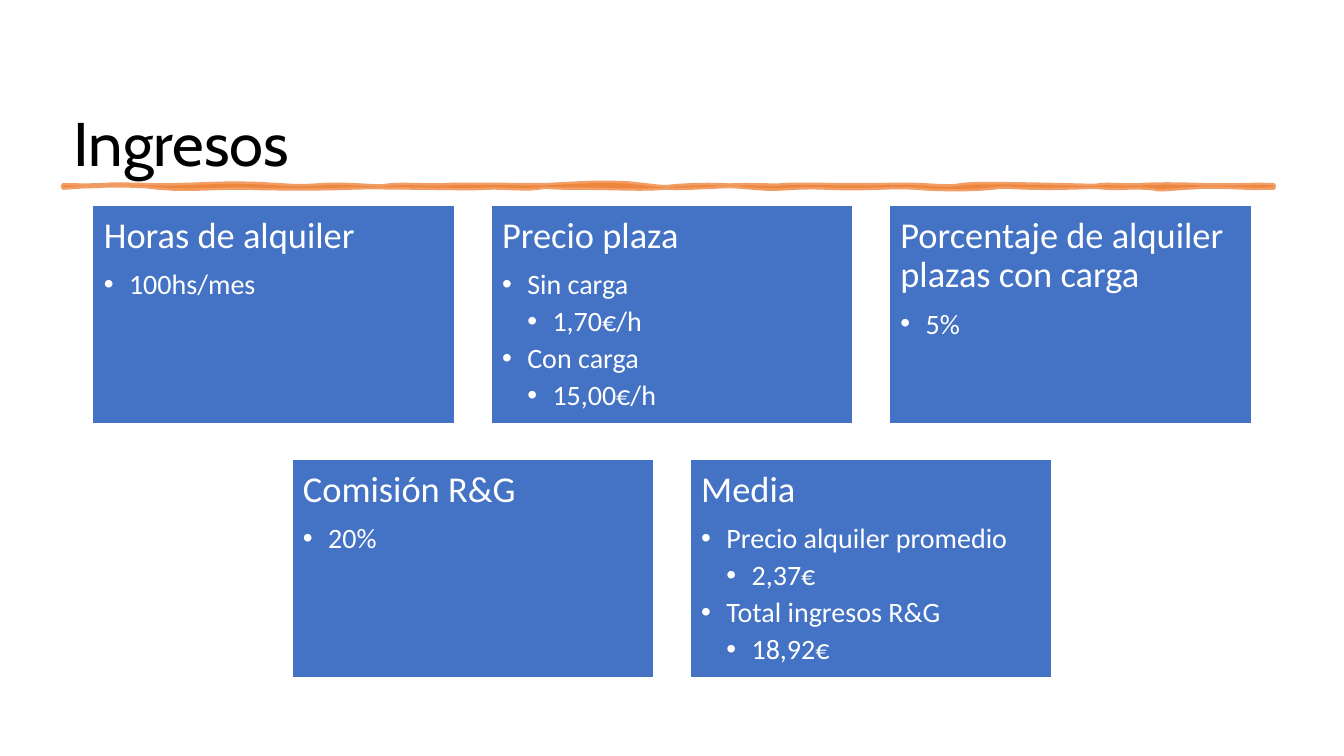
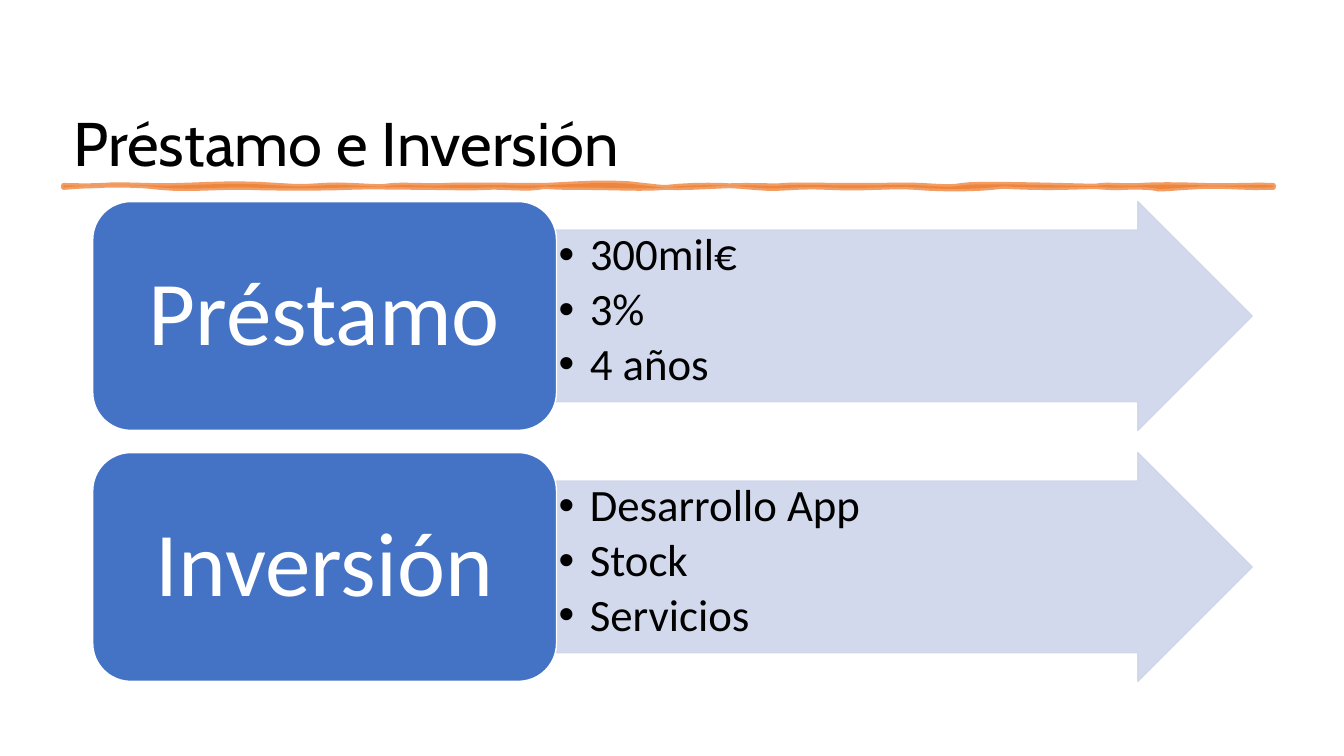
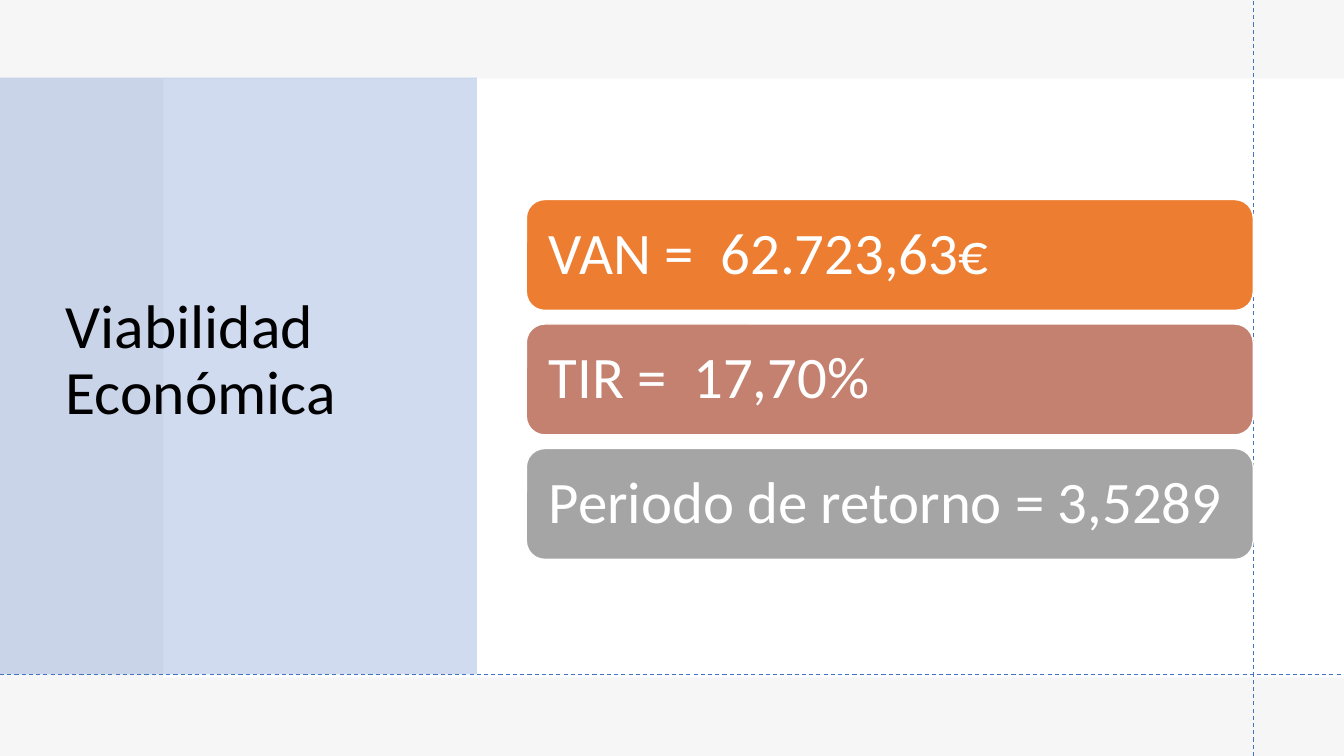
from lxml import etree
from pptx import Presentation
from pptx import util as u
from pptx.dml.color import RGBColor
from pptx.enum import dml, shapes, text
from pptx.oxml import ns, xmlchemy

Inches, Pt = u.Inches, u.Pt
BLACK = RGBColor(0x00, 0x00, 0x00)
WHITE = RGBColor(0xFF, 0xFF, 0xFF)
BLUE = RGBColor(0x44, 0x72, 0xC4)
PALE_BLUE = RGBColor(0xCF, 0xD5, 0xEA)
ORANGE = RGBColor(0xED, 0x7D, 0x31)
CLAY = RGBColor(0xC4, 0x81, 0x70)
GRAY = RGBColor(0xA5, 0xA5, 0xA5)
VEIL = RGBColor(0xE7, 0xE6, 0xE6)
BACKDROP = RGBColor(0xF6, 0xF6, 0xF6)
RECT = shapes.MSO_SHAPE.RECTANGLE
ROUNDED = shapes.MSO_SHAPE.ROUNDED_RECTANGLE
ARROW = shapes.MSO_SHAPE.RIGHT_ARROW
MIDDLE = text.MSO_ANCHOR.MIDDLE
WIDTH, HEIGHT = 13.33, 7.5
TITLE_BOX = (0.63, 0.26, 12.05, 1.57)

STROKE_LEFT, STROKE_TOP, STROKE_BOTTOM = 0.63, 1.84, 1.86
UPPER_EDGE = [
    (0.81, 1.84, 0.83, 1.85, 1.02), (1.2, 1.82, 1.43, 1.85, 1.77),
    (2.1, 1.83, 2.37, 1.81, 2.76), (3.14, 1.87, 3.13, 1.82, 3.51),
    (3.88, 1.86, 3.75, 1.85, 3.9), (4.04, 1.83, 4.3, 1.85, 4.41),
    (4.51, 1.83, 5.15, 1.84, 5.4), (5.64, 1.83, 6.09, 1.79, 6.39),
    (6.69, 1.89, 7.06, 1.84, 7.38), (7.69, 1.84, 7.66, 1.85, 7.77),
    (7.87, 1.83, 8.19, 1.84, 8.52), (8.84, 1.84, 8.97, 1.83, 9.15),
    (9.33, 1.85, 9.43, 1.86, 9.54), (9.64, 1.82, 10.08, 1.83, 10.53),
    (10.97, 1.85, 10.82, 1.85, 10.92), (11.01, 1.83, 11.17, 1.85, 11.31),
    (11.44, 1.83, 11.68, 1.83, 11.94), (12.19, 1.85, 12.41, 1.83, 12.63),
]
LOWER_EDGE = [
    (12.63, 1.85, 12.63, 1.85, 12.63), (12.21, 1.87, 12.16, 1.83, 11.76),
    (11.36, 1.89, 11.56, 1.87, 11.37), (11.17, 1.85, 11.13, 1.87, 10.98),
    (10.82, 1.84, 10.59, 1.87, 10.23), (9.86, 1.85, 10.03, 1.84, 9.84),
    (9.65, 1.88, 9.3, 1.88, 9.09), (8.87, 1.84, 8.56, 1.88, 8.22),
    (7.87, 1.84, 7.77, 1.89, 7.47), (7.17, 1.83, 6.86, 1.83, 6.6),
    (6.34, 1.88, 6.11, 1.86, 5.73), (5.35, 1.86, 5.47, 1.84, 5.34),
    (5.21, 1.88, 4.94, 1.85, 4.83), (4.72, 1.87, 4.35, 1.86, 4.2),
    (4.05, 1.86, 3.66, 1.85, 3.45), (3.23, 1.87, 2.71, 1.87, 2.46),
    (2.2, 1.85, 1.86, 1.89, 1.59), (1.31, 1.82, 0.85, 1.84, 0.63),
]

INCOME_CARDS = [
    ("Horas de alquiler", [(1, "100hs/mes")]),
    ("Precio plaza", [(1, "Sin carga"), (2, "1,70€/h"), (1, "Con carga"), (2, "15,00€/h")]),
    ("Porcentaje de alquiler plazas con carga", [(1, "5%")]),
    ("Comisión R&G", [(1, "20%")]),
    ("Media", [(1, "Precio alquiler promedio"), (2, "2,37€"),
               (1, "Total ingresos R&G"), (2, "18,92€")]),
]
FUNDING = [
    ("Préstamo", ["300mil€", "3%", "4 años"]),
    ("Inversión", ["Desarrollo App", "Stock", "Servicios"]),
]
RESULTS = [
    ("VAN =  62.723,63€", ORANGE),
    ("TIR =  17,70%", CLAY),
    ("Periodo de retorno = 3,5289", GRAY),
]


def set_alpha(shape, percent):
    """Make the fill and line colours of a shape partly transparent."""
    for color in shape.element.spPr.iter(ns.qn("a:srgbClr")):
        etree.SubElement(color, ns.qn("a:alpha"), val=str(percent * 1000))


def add_block(slide, preset, box, fill, line=None, alpha=None):
    """Add a filled preset shape, outlined when a line colour is given."""
    block = slide.shapes.add_shape(preset, *map(Inches, box))
    block.shadow.inherit = False
    block.fill.solid()
    block.fill.fore_color.rgb = fill
    if line is None:
        block.line.fill.background()
    else:
        block.line.color.rgb = line
        block.line.width = Pt(1)
    if alpha:
        set_alpha(block, alpha)
    return block


def prepare_frame(shape, margins, anchor):
    """Set wrapping, margins and anchor of a text frame and return it."""
    frame = shape.text_frame
    frame.word_wrap = True
    frame.auto_size = text.MSO_AUTO_SIZE.NONE
    frame.vertical_anchor = anchor
    frame.margin_left = frame.margin_right = Inches(margins[0])
    frame.margin_top = frame.margin_bottom = Inches(margins[1])
    return frame


def write(paragraph, words, size, color, after=0, font="Calibri",
          align=text.PP_ALIGN.LEFT, level=0, indent=0):
    """Fill a paragraph, with a bullet when it has an indent."""
    paragraph.text = words
    paragraph.alignment = align
    paragraph.line_spacing = 0.9
    paragraph.space_before = Pt(0)
    paragraph.space_after = Pt(after)
    if indent:
        paragraph.level = level
        properties = paragraph._p.get_or_add_pPr()
        properties.set("marL", str(Inches(indent * level)))
        properties.set("indent", str(-Inches(indent)))
        etree.SubElement(properties, ns.qn("a:buFont"), typeface="Arial")
        etree.SubElement(properties, ns.qn("a:buChar"), char="•")
    for run in paragraph.runs:
        run.font.name = font
        run.font.size = Pt(size)
        run.font.color.rgb = color


def add_titled_slide(deck, heading, box, font, anchor):
    """Add a title-only slide with its title placed and styled."""
    slide = deck.slides.add_slide(deck.slide_layouts[5])
    title = slide.shapes.title
    title.left, title.top, title.width, title.height = map(Inches, box)
    frame = prepare_frame(title, (0.1, 0.05), anchor)
    write(frame.paragraphs[0], heading, 44, BLACK, font=font)
    return slide


def trace_edge(start, end_y, segments, steps=6):
    """Return points along a chain of cubic curves, in EMU."""
    points = []
    x0, y0 = start
    for x1, y1, x2, y2, x3 in segments:
        for step in range(1, steps + 1):
            t = step / steps
            weights = ((1 - t) ** 3, 3 * t * (1 - t) ** 2, 3 * t * t * (1 - t), t ** 3)
            points.append(tuple(
                Inches(sum(w * v for w, v in zip(weights, values)))
                for values in ((x0, x1, x2, x3), (y0, y1, y2, end_y))))
        x0, y0 = x3, end_y
    return points


def add_brush_stroke(slide):
    """Draw the hand-drawn rule under the title."""
    start = (STROKE_LEFT, STROKE_TOP)
    outline = trace_edge(start, STROKE_TOP, UPPER_EDGE)
    outline += trace_edge((UPPER_EDGE[-1][-1], STROKE_TOP), STROKE_BOTTOM, LOWER_EDGE)
    builder = slide.shapes.build_freeform(*map(Inches, start))
    builder.add_line_segments(outline, close=True)
    stroke = builder.convert_to_shape()
    stroke.shadow.inherit = False
    stroke.fill.solid()
    stroke.fill.fore_color.rgb = ORANGE
    stroke.line.color.rgb = ORANGE
    stroke.line.width = Pt(3.5)
    set_alpha(stroke, 75)
    line = stroke.line._get_or_add_ln()
    line.set("cap", "rnd")
    line.append(xmlchemy.OxmlElement("a:round"))


def add_brushed_slide(deck, heading):
    """Add a slide with a title above the brush stroke."""
    slide = add_titled_slide(deck, heading, TITLE_BOX, "Cabin", text.MSO_ANCHOR.BOTTOM)
    add_brush_stroke(slide)
    return slide


def add_card(slide, box, heading, items):
    """Add a blue card with a heading and bulleted items."""
    card = add_block(slide, RECT, box, BLUE, WHITE)
    frame = prepare_frame(card, (0.11, 0.11), text.MSO_ANCHOR.TOP)
    write(frame.paragraphs[0], heading, 26, WHITE, after=10.5)
    for level, words in items:
        write(frame.add_paragraph(), words, 20, WHITE, after=4.8, level=level, indent=0.25)


def add_funding_row(slide, box, heading, items):
    """Add a rounded label followed by an arrow with bulleted items."""
    left, top, width, height = box
    label_width = width * 0.4
    arrow_box = (left + label_width, top, width - label_width, height)
    arrow = add_block(slide, ARROW, arrow_box, PALE_BLUE, PALE_BLUE, 90)
    arrow.adjustments[0], arrow.adjustments[1] = 0.75, 0.5
    frame = prepare_frame(arrow, (0.02, 0.02), text.MSO_ANCHOR.TOP)
    for index, words in enumerate(items):
        paragraph = frame.add_paragraph() if index else frame.paragraphs[0]
        write(paragraph, words, 32, BLACK, after=4.6, level=1, indent=0.31)
    label = add_block(slide, ROUNDED, (left, top, label_width, height), BLUE, WHITE)
    frame = prepare_frame(label, (0.27, 0.14), MIDDLE)
    write(frame.paragraphs[0], heading, 65, WHITE, align=text.PP_ALIGN.CENTER)


def add_guide(slide, start, end):
    """Add a dashed guide line."""
    guide = slide.shapes.add_connector(
        shapes.MSO_CONNECTOR.STRAIGHT, *map(Inches, start + end))
    guide.line.color.rgb = BLUE
    guide.line.width = Pt(0.75)
    guide.line.dash_style = dml.MSO_LINE.DASH
    guide.element.spPr.append(xmlchemy.OxmlElement("a:effectLst"))


def build_income(deck):
    """Build the income slide: three cards above two centred ones."""
    slide = add_brushed_slide(deck, "Ingresos")
    left, top, width, height, gap = 0.92, 2.04, 3.59, 2.16, 0.36
    pitch = width + gap
    for index, (heading, items) in enumerate(INCOME_CARDS):
        row, column = divmod(index, 3)
        x = left + pitch * (column + row / 2)
        y = top + row * (height + gap)
        add_card(slide, (x, y, width, height), heading, items)


def build_funding(deck):
    """Build the loan and investment slide."""
    slide = add_brushed_slide(deck, "Préstamo e Inversión")
    for row, (heading, items) in enumerate(FUNDING):
        add_funding_row(slide, (0.92, 2 + 2.49 * row, 11.5, 2.27), heading, items)


def build_viability(deck):
    """Build the economic viability slide."""
    slide = add_titled_slide(
        deck, "Viabilidad Económica", (0.55, 0.74, 3.95, 5.69), "Calibri", MIDDLE)
    slide.background.fill.solid()
    slide.background.fill.fore_color.rgb = BACKDROP
    add_block(slide, RECT, (0, 0, WIDTH, HEIGHT), WHITE)
    add_block(slide, RECT, (0, 0, WIDTH, HEIGHT), VEIL, alpha=35)
    add_block(slide, RECT, (1.62, 0.78, 11.71, 5.94), WHITE)
    side_panel = add_block(slide, RECT, (0, 0.77, 4.73, 5.92), BLUE, alpha=25)
    side_panel.element.addnext(slide.shapes.title.element)
    add_guide(slide, (12.43, HEIGHT), (12.43, 0))
    add_guide(slide, (0, 6.69), (WIDTH, 6.69))
    for row, (words, color) in enumerate(RESULTS):
        bar = add_block(slide, ROUNDED, (5.22, 1.98 + 1.235 * row, 7.21, 1.1), color, WHITE)
        frame = prepare_frame(bar, (0.17, 0.17), MIDDLE)
        write(frame.paragraphs[0], words, 42, WHITE)


def main():
    """Build and save the deck."""
    deck = Presentation()
    deck.slide_width, deck.slide_height = Inches(WIDTH), Inches(HEIGHT)
    build_income(deck)
    build_funding(deck)
    build_viability(deck)
    deck.save("out.pptx")


if __name__ == "__main__":
    main()
